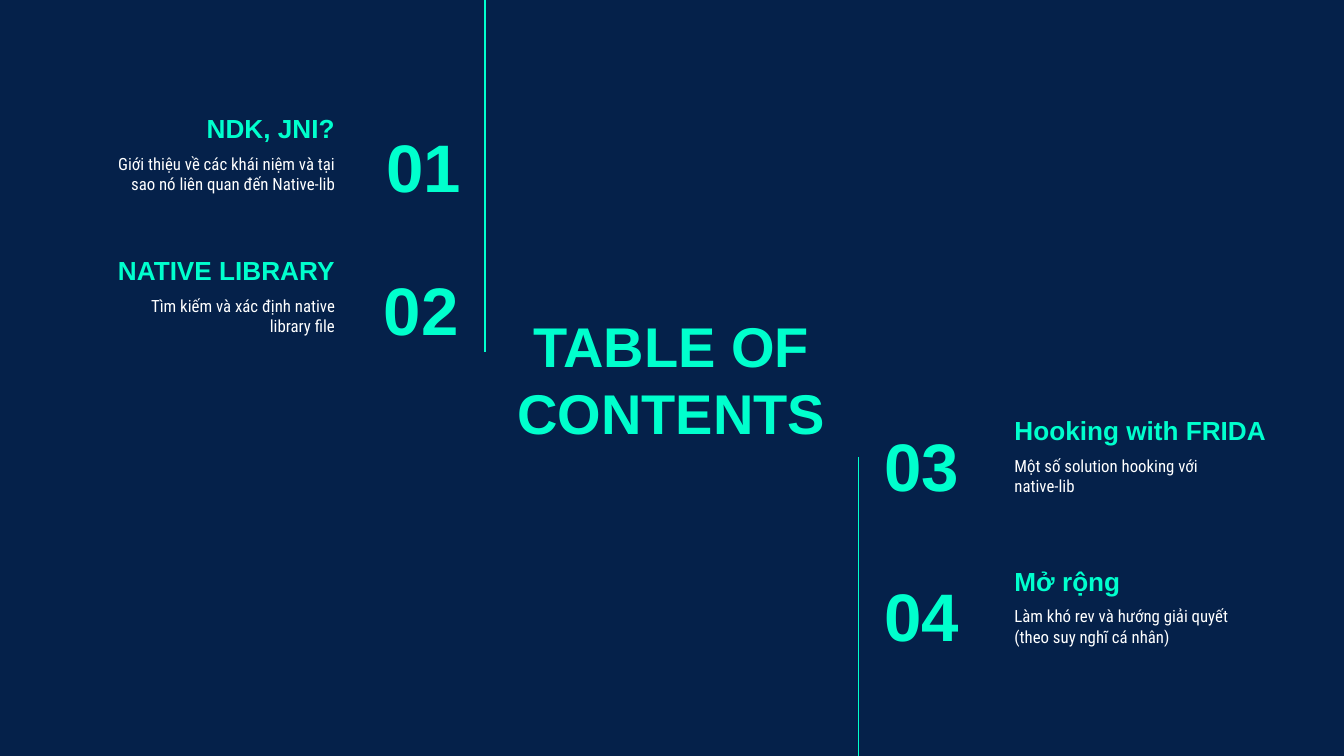
from dataclasses import dataclass

import pptx
import pptx.dml.color
import pptx.enum.shapes
import pptx.enum.text
import pptx.oxml
import pptx.oxml.ns
import pptx.util

Inches = pptx.util.Inches
Align = pptx.enum.text.PP_ALIGN
Anchor = pptx.enum.text.MSO_ANCHOR


@dataclass(frozen=True)
class Style:
    size: int
    font: str
    color: str
    bold: bool


class Theme:
    navy = "05214A"
    mint = "00FFCD"
    white = "FFFFFF"
    rule_width = 0.75
    inset = 0.1
    title = Style(30, "Arial", mint, True)
    number = Style(36, "Arial", mint, True)
    heading = Style(14, "Arial", mint, True)
    summary = Style(9, "Roboto Condensed", white, False)


SLIDE_WIDTH = 10
SLIDE_HEIGHT = SLIDE_WIDTH * 9 / 16
ROW_HEIGHT = 0.63
HEADING_WIDTH, SUMMARY_WIDTH = 2.16, 1.83
SUMMARY_DROP = 0.5


def rgb(color):
    return pptx.dml.color.RGBColor.from_string(color)


def add_text(slide, box, text, style, align, anchor):
    frame = slide.shapes.add_textbox(*map(Inches, box)).text_frame
    frame.word_wrap = True
    frame.vertical_anchor = anchor
    frame.margin_left = frame.margin_right = Inches(Theme.inset)
    frame.margin_top = frame.margin_bottom = Inches(Theme.inset)
    paragraph = frame.paragraphs[0]
    paragraph.alignment = align
    run = paragraph.add_run()
    run.text = text
    run.font.size = pptx.util.Pt(style.size)
    run.font.name = style.font
    run.font.bold = style.bold
    run.font.color.rgb = rgb(style.color)


def add_rule(slide, x, top, bottom):
    rule = slide.shapes.add_connector(
        pptx.enum.shapes.MSO_CONNECTOR.STRAIGHT,
        Inches(x), Inches(top), Inches(x), Inches(bottom),
    )
    rule.line.color.rgb = rgb(Theme.mint)
    rule.line.width = pptx.util.Pt(Theme.rule_width)
    properties = rule._element.spPr
    properties.append(pptx.oxml.parse_xml(
        f'<a:effectLst {pptx.oxml.ns.nsdecls("a")}/>'
    ))


def add_entry(slide, top, text_edge, number_box, entry, align):
    number, heading, summary = entry
    number_left, number_drop, number_width = number_box
    add_text(slide, (number_left, top + number_drop, number_width, ROW_HEIGHT),
             number, Theme.number, align, Anchor.MIDDLE)
    rows = (
        (heading, Theme.heading, HEADING_WIDTH, 0, Anchor.BOTTOM),
        (summary, Theme.summary, SUMMARY_WIDTH, SUMMARY_DROP, Anchor.TOP),
    )
    for text, style, width, drop, anchor in rows:
        left = text_edge - width if align == Align.RIGHT else text_edge
        add_text(slide, (left, top + drop, width, ROW_HEIGHT),
                 text, style, align, anchor)


def main():
    deck = pptx.Presentation()
    deck.slide_width = Inches(SLIDE_WIDTH)
    deck.slide_height = Inches(SLIDE_HEIGHT)
    slide = deck.slides.add_slide(deck.slide_layouts[6])
    slide.background.fill.solid()
    slide.background.fill.fore_color.rgb = rgb(Theme.navy)

    add_text(slide, (3.7, 2.3, 2.59, 1.03), "TABLE OF CONTENTS",
             Theme.title, Align.CENTER, Anchor.MIDDLE)
    add_rule(slide, 3.61, 0, 2.62)
    add_rule(slide, 6.39, 3.4, SLIDE_HEIGHT)

    right_numbers = (6.48, 0.35, 1.17)
    entries = (
        (0.54, 2.59, (2.32, 0.38, 1.21), Align.RIGHT,
         ("01", "NDK, JNI?",
          "Giới thiệu về các khái niệm và tại sao nó liên quan đến Native-lib")),
        (1.6, 2.59, (2.3, 0.38, 1.21), Align.RIGHT,
         ("02", "NATIVE LIBRARY", "Tìm kiếm và xác định native library file")),
        (2.79, 7.45, right_numbers, Align.LEFT,
         ("03", "Hooking with FRIDA", "Một số solution hooking với native-lib")),
        (3.91, 7.45, right_numbers, Align.LEFT,
         ("04", "Mở rộng",
          "Làm khó rev và hướng giải quyết (theo suy nghĩ cá nhân)")),
    )
    for top, text_edge, number_box, align, entry in entries:
        add_entry(slide, top, text_edge, number_box, entry, align)

    deck.save("out.pptx")


if __name__ == "__main__":
    main()
